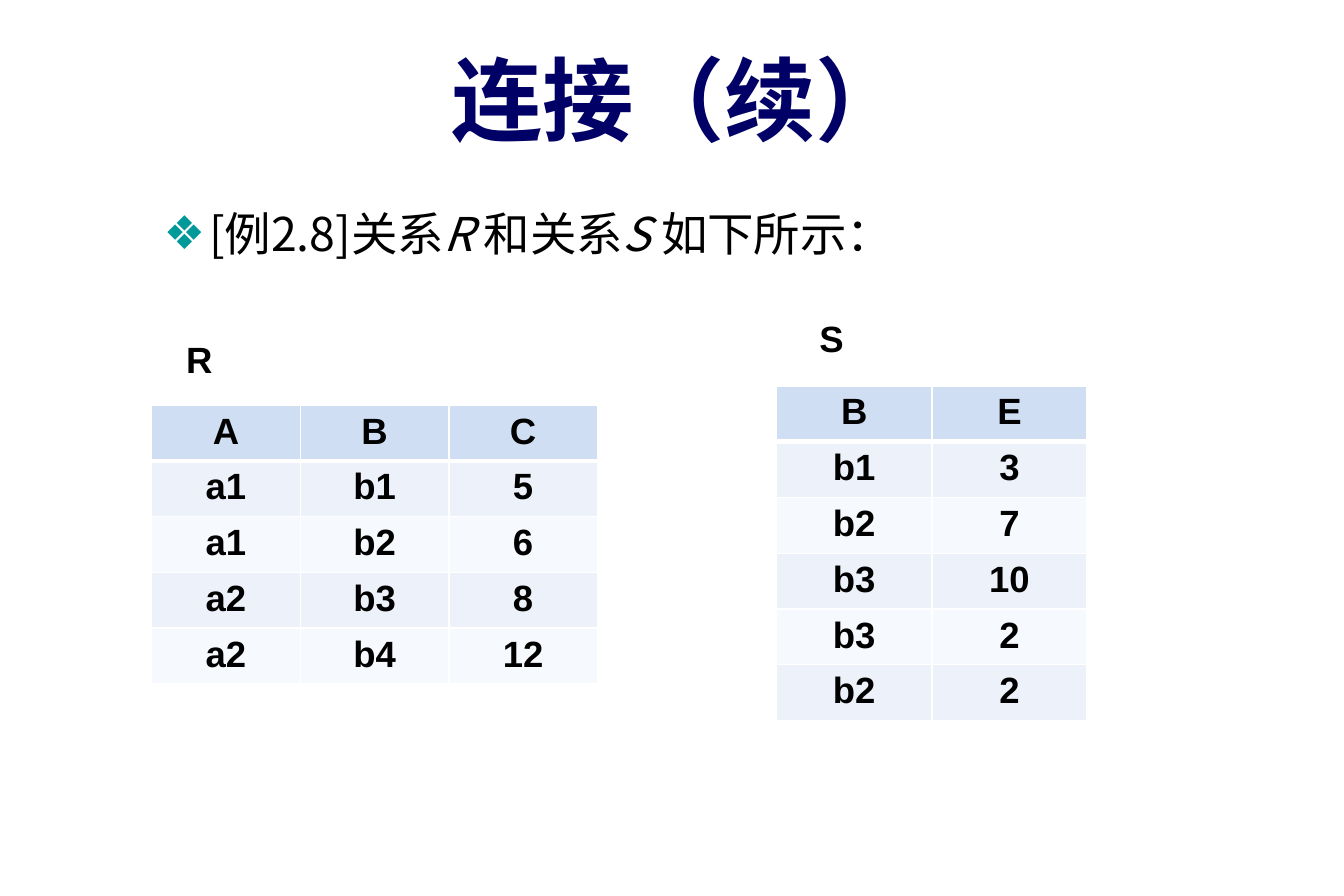
from lxml.etree import SubElement
from pptx import Presentation
from pptx.dml.color import RGBColor
from pptx.enum.text import MSO_ANCHOR, MSO_AUTO_SIZE, PP_ALIGN
from pptx.oxml.ns import qn
from pptx.util import Inches, Pt


def colour(value):
    return RGBColor.from_string(value)


class RelationPage:
    navy, teal, black, white = "000066", "009999", "000000", "FFFFFF"
    header, bands = "CFDEF3", ("EDF2FA", "F6F9FD")
    latin, asian, heading = "Arial", "Noto Sans CJK SC", "Karla"
    row_height = Inches(2.8) // 6

    def __init__(self, deck):
        self.page = deck.slides.add_slide(deck.slide_layouts[1])

    def style(self, para, font_name, size, text_colour, bold):
        font = para.font
        font.name, font.size, font.bold = font_name, Pt(size), bold
        font.color.rgb = colour(text_colour)
        properties = para._p.get_or_add_pPr().find(qn("a:defRPr"))
        SubElement(properties, qn("a:ea"), typeface=self.asian)

    def place(self, box, left, top, width, height):
        box.left, box.top = Inches(left), Inches(top)
        box.width, box.height = Inches(width), Inches(height)
        frame = box.text_frame
        frame.auto_size = MSO_AUTO_SIZE.NONE
        return frame

    def title(self, text, *position):
        frame = self.place(self.page.shapes.title, *position)
        frame.vertical_anchor = MSO_ANCHOR.MIDDLE
        frame.margin_left = frame.margin_right = Inches(0.18)
        frame.margin_top = frame.margin_bottom = Inches(0.09)
        frame.text = text
        para = frame.paragraphs[0]
        para.alignment = PP_ALIGN.CENTER
        self.style(para, self.heading, 55, self.navy, True)

    def bullet(self, spans, *position):
        frame = self.place(self.page.placeholders[1], *position)
        para = frame.paragraphs[0]
        properties = para._p.get_or_add_pPr()
        indent = Inches(0.38)
        properties.set("marL", str(indent))
        properties.set("indent", str(-indent))
        bullet_colour = SubElement(properties, qn("a:buClr"))
        SubElement(bullet_colour, qn("a:srgbClr"), val=self.teal)
        SubElement(properties, qn("a:buChar"), char="❖")
        self.style(para, self.asian, 28, self.black, False)
        for text, italic in spans:
            span = para.add_run()
            span.text = text
            span.font.italic = italic

    def label(self, text, left, top):
        box = self.page.shapes.add_textbox(
            Inches(left), Inches(top), Inches(0.42), Inches(0.47))
        box.text_frame.word_wrap = False
        box.text_frame.auto_size = MSO_AUTO_SIZE.SHAPE_TO_FIT_TEXT
        box.text_frame.text = text
        self.style(box.text_frame.paragraphs[0], self.latin, 22, self.black, True)

    def border(self, cell, side, points):
        line = SubElement(cell._tc.get_or_add_tcPr(), qn(f"a:ln{side}"), w=str(Pt(points)))
        fill = SubElement(line, qn("a:solidFill"))
        SubElement(fill, qn("a:srgbClr"), val=self.white)

    def table(self, rows, left, top, width):
        table = self.page.shapes.add_table(
            len(rows), len(rows[0]), Inches(left), Inches(top),
            Inches(width), self.row_height * len(rows)).table
        for row_index, row in enumerate(rows):
            shade = self.bands[(row_index - 1) % 2] if row_index else self.header
            for column_index, text in enumerate(row):
                cell = table.cell(row_index, column_index)
                for side in "LRTB":
                    self.border(cell, side, 3 if side == "B" and row_index == 0 else 1)
                cell.fill.solid()
                cell.fill.fore_color.rgb = colour(shade)
                cell.text = text
                para = cell.text_frame.paragraphs[0]
                para.alignment = PP_ALIGN.CENTER
                self.style(para, self.latin, 22, self.black, True)


def main():
    deck = Presentation()
    deck.slide_width, deck.slide_height = Inches(11.25), Inches(7.5)
    page = RelationPage(deck)
    page.title("连接（续）", 1.14, 0.51, 9.09, 0.62)
    page.bullet(
        [("[例2.8]关系", False), ("R ", True), ("和关系", False),
         ("S ", True), ("如下所示：", False)],
        1.27, 1.67, 9.31, 1.18)
    page.label("R", 1.46, 2.77)
    page.table(
        [("A", "B", "C"), ("a1", "b1", "5"), ("a1", "b2", "6"),
         ("a2", "b3", "8"), ("a2", "b4", "12")],
        1.27, 3.39, 3.73)
    page.label("S", 6.76, 2.6)
    page.table(
        [("B", "E"), ("b1", "3"), ("b2", "7"),
         ("b3", "10"), ("b3", "2"), ("b2", "2")],
        6.5, 3.23, 2.6)
    deck.save("out.pptx")


if __name__ == "__main__":
    main()
